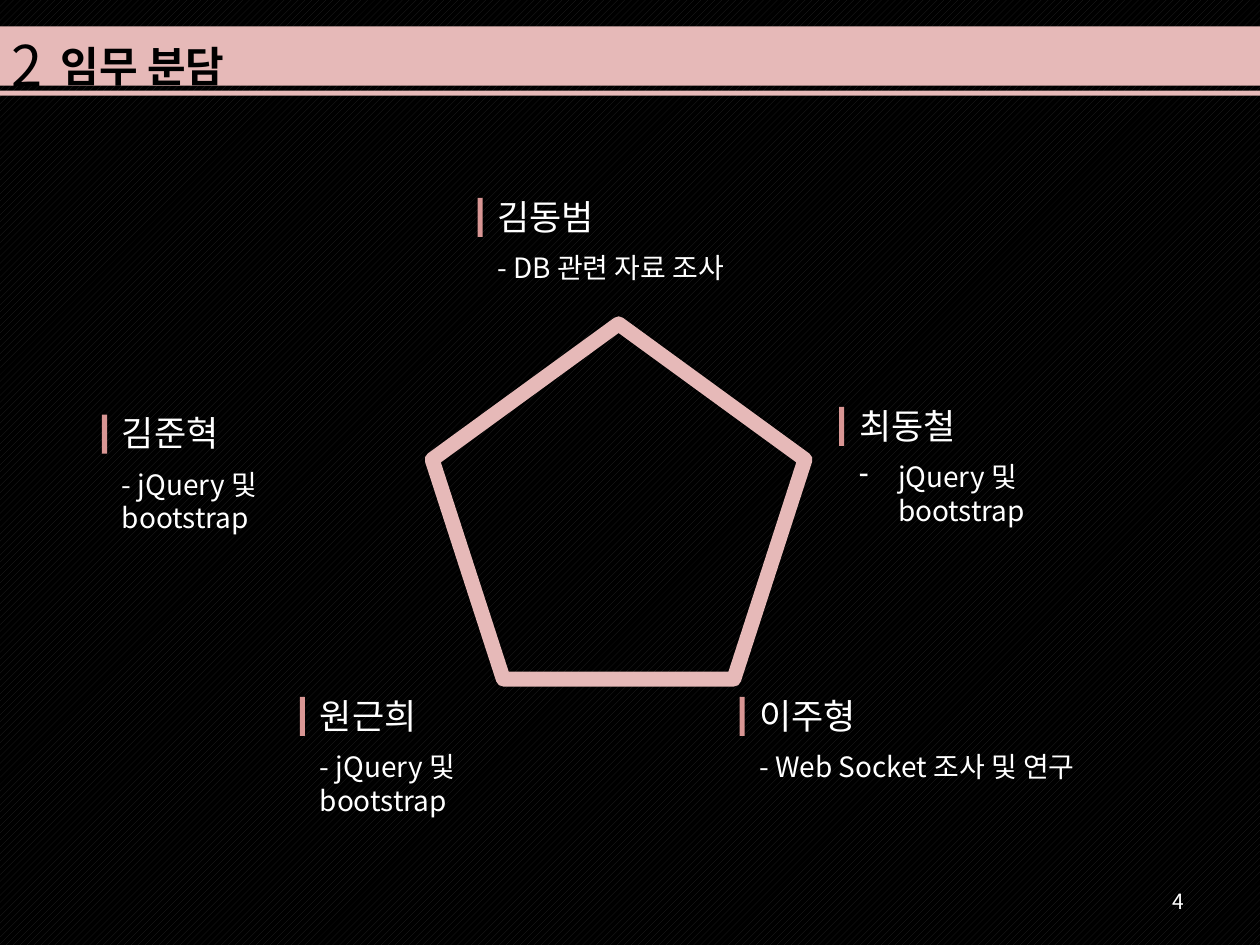
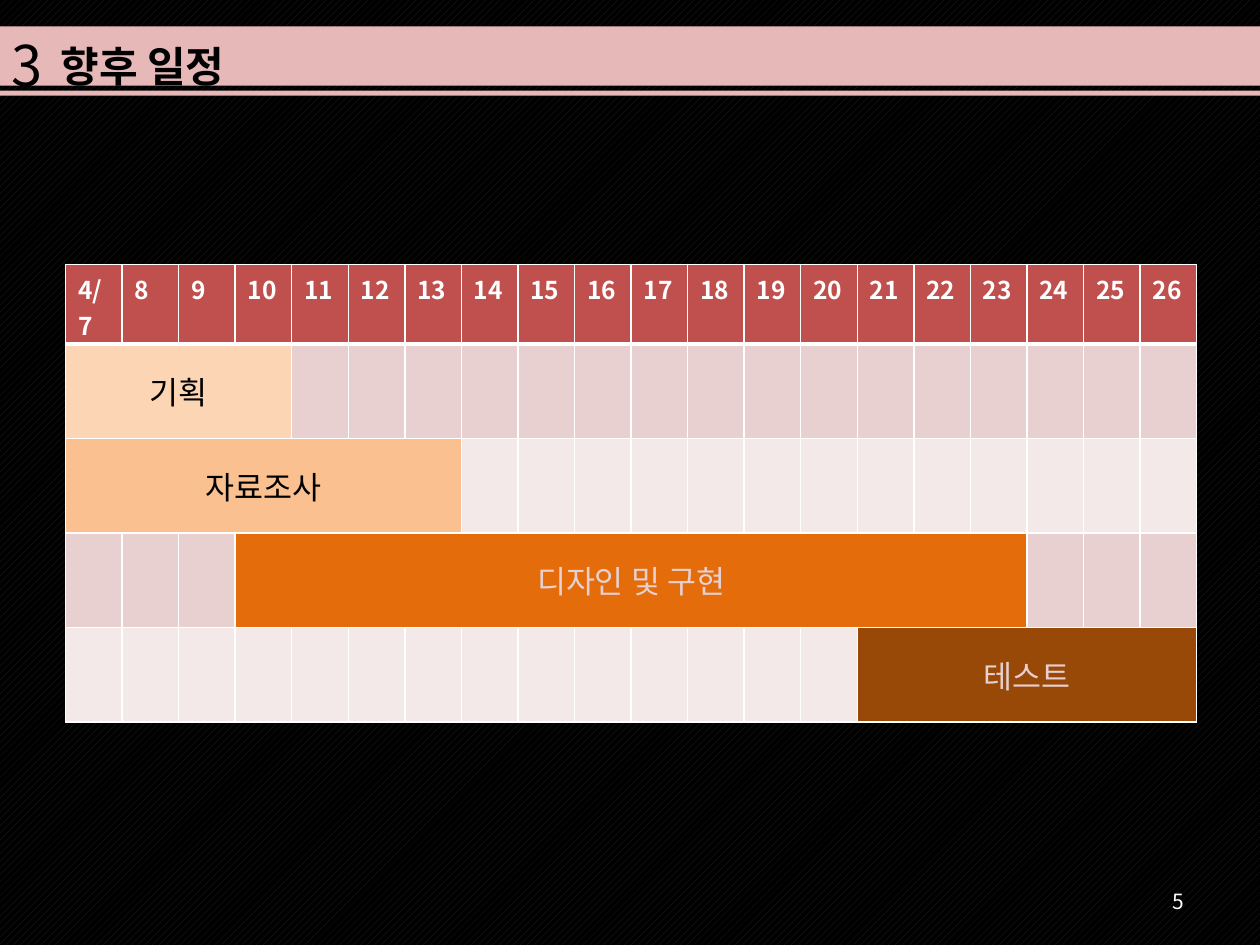
from dataclasses import dataclass

from lxml import etree
from pptx import Presentation
from pptx.dml.color import RGBColor
from pptx.enum import dml, shapes, text
from pptx.oxml import ns
from pptx.util import Inches, Pt

FONT = "Noto Sans CJK KR"
HEX = {
    "black": "000000", "hatch": "262626", "white": "FFFFFF",
    "pink": "E6B9B8", "rose": "D99694", "red": "C0504D",
    "odd": "E8D0D0", "even": "F4E9E9",
    "plan": "FCD5B5", "study": "FAC090", "build": "E46C0A", "test": "984807",
}
LEFT, MID, RIGHT = text.PP_ALIGN.LEFT, text.PP_ALIGN.CENTER, text.PP_ALIGN.RIGHT


@dataclass
class Member:
    name: str
    duty: str
    x: float
    y: float
    width: float
    bullet: bool = False


@dataclass
class Task:
    name: str
    first: int
    days: int
    fill: str
    ink: str


TEAM = [
    Member("김동범", "- DB 관련 자료 조사", 3.85, 1.5, 2.25),
    Member("최동철", "jQuery 및 bootstrap", 6.72, 3.16, 2.45, True),
    Member("이주형", "- Web Socket 조사 및 연구", 5.93, 5.46, 2.95),
    Member("김준혁", "- jQuery 및 bootstrap", 0.87, 3.22, 2.3),
    Member("원근희", "- jQuery 및 bootstrap", 2.44, 5.46, 2.3),
]
DAYS = ["4/7"] + [str(day) for day in range(8, 27)]
TASKS = [
    Task("기획", 0, 4, "plan", "black"),
    Task("자료조사", 0, 7, "study", "black"),
    Task("디자인 및 구현", 3, 14, "build", "odd"),
    Task("테스트", 14, 6, "test", "odd"),
]


def color(key: str) -> RGBColor:
    return RGBColor.from_string(HEX[key])


def inches(*sizes: float) -> list:
    return [Inches(size) for size in sizes]


# Text
def write(frame, words: str, size: float, ink: str, bold=False, align=LEFT):
    frame.text = words
    para = frame.paragraphs[0]
    para.alignment = align
    font = para.font
    font.size, font.bold, font.name = Pt(size), bold, FONT
    font.color.rgb = color(ink)
    latin = para._p.find(".//" + ns.qn("a:latin"))
    east = etree.Element(ns.qn("a:ea"), typeface=FONT)
    latin.addnext(east)
    return para


def label(parent, box: tuple, words: str, size: float, ink: str,
          align=LEFT, anchor=text.MSO_ANCHOR.TOP, wrap=True):
    frame = parent.add_textbox(*inches(*box)).text_frame
    frame.word_wrap = wrap
    frame.vertical_anchor = anchor
    return write(frame, words, size, ink, align=align)


def dash(para) -> None:
    props = para._p.get_or_add_pPr()
    props.set("marL", str(Inches(0.31)))
    props.set("indent", str(-Inches(0.31)))
    props.insert(0, etree.Element(ns.qn("a:buChar"), char="-"))


# Shapes
def bar(parent, box: tuple, fill: str):
    shape = parent.add_shape(shapes.MSO_SHAPE.RECTANGLE, *inches(*box))
    shape.shadow.inherit = False
    shape.fill.solid()
    shape.fill.fore_color.rgb = color(fill)
    shape.line.fill.background()
    return shape


# Shared look: hatched ground and two bands, kept on the master and layout
def dress(prs, layout) -> None:
    fill = prs.slide_master.background.fill
    fill.patterned()
    fill.pattern = dml.MSO_PATTERN.WIDE_UPWARD_DIAGONAL
    fill.fore_color.rgb = color("hatch")
    fill.back_color.rgb = color("black")
    first = prs.slides[0]
    for top, height in ((0.21, 0.47), (0.72, 0.04)):
        band = bar(first.shapes, (0, top, 10, height), "pink")
        layout.shapes.element.insert(2, band.element)


def start(prs, layout, number: str, name: str, page: str):
    slide = prs.slides.add_slide(layout)
    title = slide.shapes.title
    title.left, title.top, title.width, title.height = inches(0.38, 0.27, 1.67, 0.5)
    frame = title.text_frame
    frame.auto_size = text.MSO_AUTO_SIZE.NONE
    frame.word_wrap = False
    frame.vertical_anchor = text.MSO_ANCHOR.TOP
    write(frame, name, 24, "black", bold=True)
    label(slide.shapes, (-0.01, 0.19, 0.46, 0.64), number, 32, "black", wrap=False)
    label(slide.shapes, (7.17, 6.95, 2.33, 0.4), page, 12, "white",
          RIGHT, text.MSO_ANCHOR.MIDDLE)
    return slide


# Roles slide
def add_member(slide, member: Member) -> None:
    group = slide.shapes.add_group_shape().shapes
    x, y = member.x, member.y
    para = label(group, (x, y + 0.44, member.width, 0.37), member.duty, 16, "white")
    if member.bullet:
        dash(para)
    label(group, (x, y, 1.04, 0.44), member.name, 20, "white", wrap=False)
    bar(group, (x - 0.06, y + 0.07, 0.04, 0.31), "rose")


def add_team(slide) -> None:
    ring = slide.shapes.add_shape(
        shapes.MSO_SHAPE.REGULAR_PENTAGON, *inches(3.43, 2.57, 2.96, 2.82))
    ring.shadow.inherit = False
    ring.fill.background()
    ring.line.color.rgb = color("pink")
    ring.line.width = Pt(8.5)
    for member in TEAM:
        add_member(slide, member)


# Schedule slide
def paint(cell, fill: str, top: float = 1, bottom: float = 1) -> None:
    props = cell._tc.get_or_add_tcPr()
    for side, width in (("L", 1), ("R", 1), ("T", top), ("B", bottom)):
        line = etree.SubElement(props, ns.qn("a:ln" + side), w=str(Pt(width)))
        solid = etree.SubElement(line, ns.qn("a:solidFill"))
        etree.SubElement(solid, ns.qn("a:srgbClr"), val=HEX["white"])
    cell.fill.solid()
    cell.fill.fore_color.rgb = color(fill)


def add_plan(slide) -> None:
    table = slide.shapes.add_table(
        len(TASKS) + 1, len(DAYS), *inches(0.52, 2.1, 8.98, 3.63)).table
    table.first_row = table.horz_banding = False
    for column in table.columns:
        column.width = Inches(8.98 / len(DAYS))
    for index, row in enumerate(table.rows):
        row.height = Inches(0.75 if index else 0.63)
    for col, day in enumerate(DAYS):
        cell = table.cell(0, col)
        paint(cell, "red", bottom=3)
        write(cell.text_frame, day, 14, "white", bold=True)
    for row, task in enumerate(TASKS, 1):
        end = task.first + task.days
        for col in range(len(DAYS)):
            busy = task.first <= col < end
            ground = "odd" if row % 2 else "even"
            paint(table.cell(row, col), task.fill if busy else ground,
                  top=3 if row == 1 else 1)
        cell = table.cell(row, task.first)
        cell.merge(table.cell(row, end - 1))
        cell.vertical_anchor = text.MSO_ANCHOR.MIDDLE
        cell.margin_left = cell.margin_right = Inches(0.15)
        cell.margin_top = cell.margin_bottom = Inches(0.15)
        write(cell.text_frame, task.name, 18, task.ink, align=MID)


def main() -> None:
    prs = Presentation()
    prs.slide_width, prs.slide_height = inches(10, 7.5)
    layout = prs.slide_layouts[5]
    add_team(start(prs, layout, "2", "임무 분담", "4"))
    add_plan(start(prs, layout, "3", "향후 일정", "5"))
    dress(prs, layout)
    prs.save("out.pptx")


if __name__ == "__main__":
    main()
